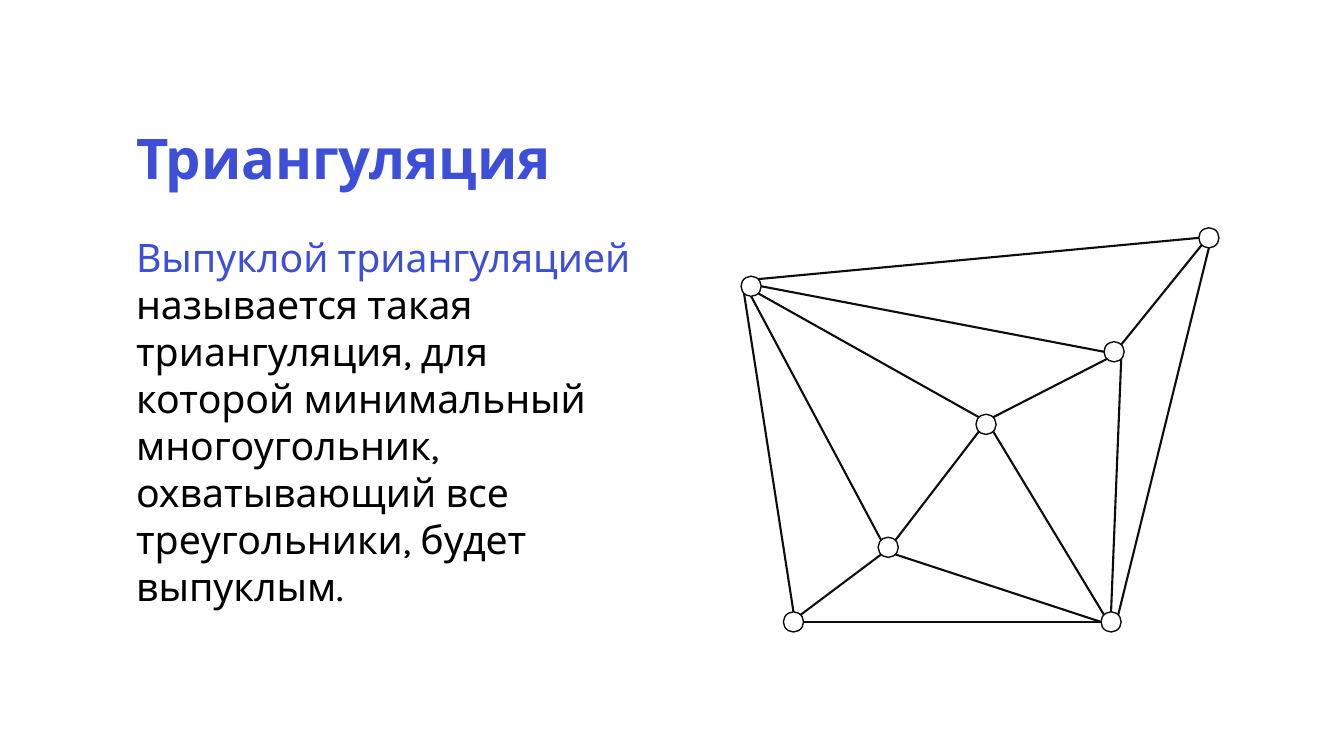
from lxml import etree
from pptx import Presentation
from pptx.dml.color import RGBColor
from pptx.enum.shapes import MSO_CONNECTOR, MSO_SHAPE
from pptx.enum.text import MSO_ANCHOR, MSO_AUTO_SIZE, PP_ALIGN
from pptx.oxml.ns import qn
from pptx.util import Inches, Pt

OVAL = MSO_SHAPE.OVAL
LINE = MSO_CONNECTOR.STRAIGHT
TOP = MSO_ANCHOR.TOP
LEFT = PP_ALIGN.LEFT
GROW = MSO_AUTO_SIZE.SHAPE_TO_FIT_TEXT
FIXED = MSO_AUTO_SIZE.NONE

# Content
FONT = "Karla"
COLORS = {"blue": "3D4ED7", "black": "000000", "ink": "0D0D0D", "white": "FFFFFF"}
TITLE = "Триангуляция"
TERM = "Выпуклой триангуляцией "
TEXT = [
    "называется такая триангуляция, для",
    "которой минимальный многоугольник, "
    "охватывающий все треугольники, будет выпуклым.",
]

# Centres of the graph nodes, in inches
NODES = {
    "A": (7.45, 2.84),
    "B": (9.78, 4.21),
    "C": (8.81, 5.43),
    "D": (11.02, 6.17),
    "E": (11.05, 3.49),
    "F": (11.99, 2.36),
    "G": (7.87, 6.17),
}
# Each edge: node and compass side at both ends
EDGES = [
    ("B", "NW", "A", "SE"),
    ("A", "S", "C", "NW"),
    ("E", "SE", "D", "N"),
    ("D", "W", "G", "E"),
    ("E", "W", "A", "E"),
    ("B", "SE", "D", "NW"),
    ("E", "NE", "F", "SW"),
    ("A", "SW", "G", "N"),
    ("D", "W", "C", "SE"),
    ("F", "W", "A", "NE"),
    ("C", "SW", "G", "NE"),
    ("E", "SW", "B", "NE"),
    ("B", "SW", "C", "NE"),
    ("F", "S", "D", "NE"),
]
RADIUS = 0.1


def color(name):
    return RGBColor.from_string(COLORS[name])


def place(shape, left, top, width, height):
    shape.left, shape.top = Inches(left), Inches(top)
    shape.width, shape.height = Inches(width), Inches(height)


def style(run, size, name, bold=False):
    run.font.name = FONT
    run.font.size = Pt(size)
    run.font.bold = bold
    run.font.color.rgb = color(name)


def port(node, side):
    """Point on the rim of a node, on the given compass side."""
    x, y = NODES[node]
    step = RADIUS if len(side) == 1 else RADIUS * 0.5 ** 0.5
    x += step * (("E" in side) - ("W" in side))
    y += step * (("S" in side) - ("N" in side))
    return Inches(x), Inches(y)


prs = Presentation()
prs.slide_width, prs.slide_height = Inches(13.33), Inches(7.5)
slide = prs.slides.add_slide(prs.slide_layouts[1])
shapes = slide.shapes

# Title
title = shapes.title
place(title, 1.25, 1.25, 9.04, 0.8)
frame = title.text_frame
frame.text = TITLE
frame.auto_size = FIXED
frame.vertical_anchor = TOP
para = frame.paragraphs[0]
para.alignment = LEFT
para.line_spacing = 0.9
style(para.runs[0], 40, "blue", True)

# Definition
body = slide.placeholders[1]
place(body, 1.25, 2.26, 5.42, 3.87)
frame = body.text_frame
frame.text = TERM + "\v".join(TEXT)
frame.auto_size = GROW
frame.word_wrap = True
para = frame.paragraphs[0]
para.space_before = Pt(0)
props = para._p.get_or_add_pPr()
props.set("marL", "0")
props.set("indent", "0")
etree.SubElement(props, qn("a:buNone"))
para.text = TERM
for i, part in enumerate(TEXT):
    if i:
        para.add_line_break()
    para.add_run().text = part
for i, run in enumerate(para.runs):
    style(run, 28, "black" if i else "blue")

# Nodes
for x, y in NODES.values():
    node = shapes.add_shape(OVAL, Inches(x - RADIUS), Inches(y - RADIUS),
                            Inches(2 * RADIUS), Inches(2 * RADIUS))
    node.shadow.inherit = False
    node.fill.solid()
    node.fill.fore_color.rgb = color("white")
    node.line.color.rgb = color("ink")
    node.line.width = Pt(1)

# Edges
for start, exit_side, end, entry_side in EDGES:
    edge = shapes.add_connector(LINE, *port(start, exit_side), *port(end, entry_side))
    edge.line.color.rgb = color("ink")
    edge.line.width = Pt(1.5)
    etree.SubElement(edge._element.spPr, qn("a:effectLst"))

prs.save("out.pptx")
